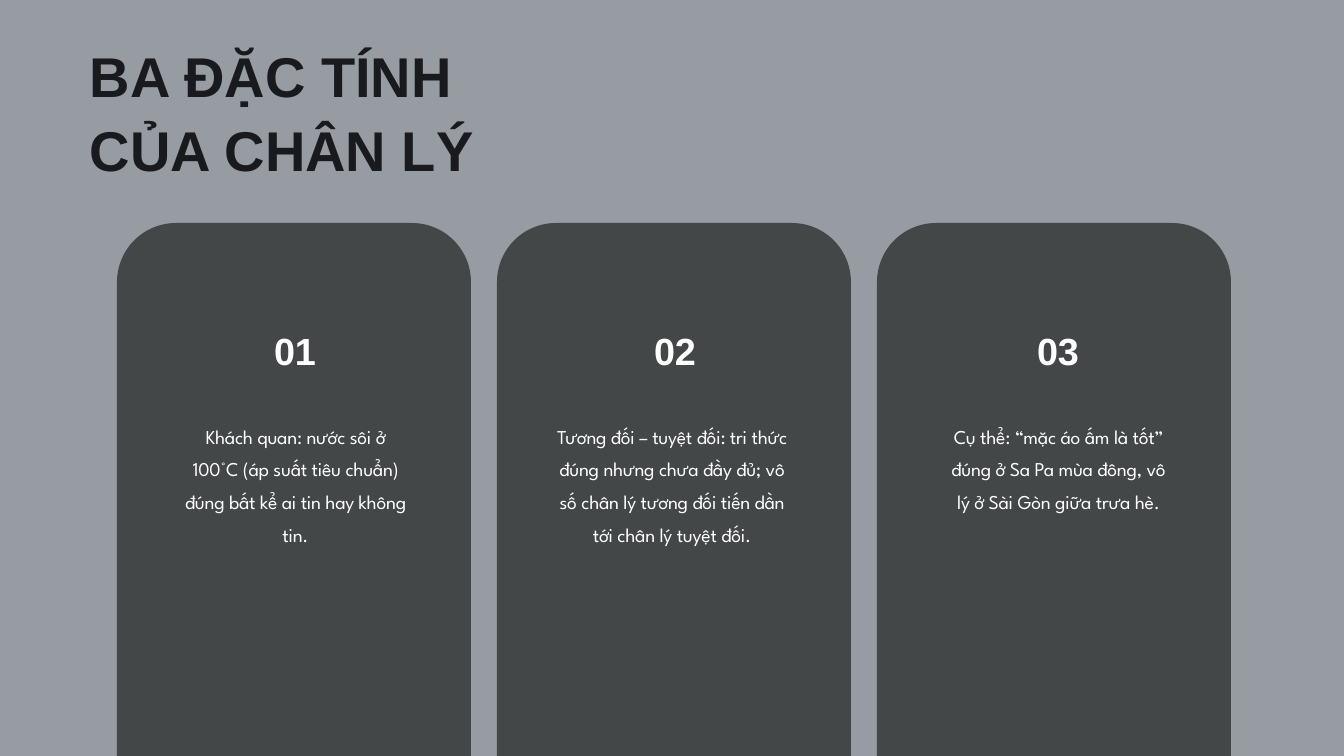
import pptx
import pptx.dml.color
import pptx.enum.shapes
import pptx.enum.text
import pptx.util

ANCHOR = pptx.enum.text.MSO_ANCHOR
ALIGN = pptx.enum.text.PP_ALIGN

TITLE = ["BA ĐẶC TÍNH", "CỦA CHÂN LÝ"]
TITLE_BOX = (85, 34, 587, 151)

# Number, its left edge, body text, its left edge and width
TRAITS = [
    ("01", 243, "Khách quan: nước sôi ở 100°C (áp suất tiêu chuẩn) "
     "đúng bất kể ai tin hay không tin.", 180, 231),
    ("02", 623, "Tương đối – tuyệt đối: tri thức đúng nhưng chưa đầy đủ; "
     "vô số chân lý tương đối tiến dần tới chân lý tuyệt đối.", 544, 256),
    ("03", 1006, "Cụ thể: “mặc áo ấm là tốt” đúng ở Sa Pa mùa đông, "
     "vô lý ở Sài Gòn giữa trưa hè.", 943, 231),
]

SLIDE_WIDTH, SLIDE_HEIGHT = 1344, 756
CARD_LEFT, CARD_TOP, CARD_WIDTH, CARD_HEIGHT, CARD_GAP = 117, 223, 354, 632, 26
NUMBER_TOP, NUMBER_WIDTH, NUMBER_HEIGHT = 304, 104, 74
BODY_TOP, BODY_HEIGHT = 410, 143
INSET = 5

THEME = {
    "background": "969CA2",
    "card": "434747",
    "title": {"name": "Arial", "size": 80, "bold": True, "color": "181A1E",
              "line_spacing": 1.1, "align": ALIGN.LEFT, "anchor": ANCHOR.BOTTOM},
    "number": {"name": "Arial", "size": 54, "bold": True, "color": "FFFFFF",
               "line_spacing": 1.4, "align": ALIGN.CENTER,
               "anchor": ANCHOR.MIDDLE, "tracking": -30, "inset": INSET},
    "body": {"name": "League Spartan", "size": 28, "bold": False, "color": "FFFFFF",
             "line_spacing": 1.4, "align": ALIGN.CENTER,
             "anchor": ANCHOR.TOP, "tracking": -30, "inset": INSET},
}


def px(length):
    return pptx.util.Emu(round(length * 914400 / 50.4))


def paint(fill, color):
    fill.solid()
    fill.fore_color.rgb = pptx.dml.color.RGBColor.from_string(color)


def add_card(slide, left):
    card = slide.shapes.add_shape(
        pptx.enum.shapes.MSO_SHAPE.ROUNDED_RECTANGLE,
        *map(px, (left, CARD_TOP, CARD_WIDTH, CARD_HEIGHT)))
    card.shadow.inherit = False
    card.line.fill.background()
    paint(card.fill, THEME["card"])


def add_text(slide, lines, box, style):
    frame = slide.shapes.add_textbox(*map(px, box)).text_frame
    frame.word_wrap = True
    frame.vertical_anchor = style["anchor"]
    if "inset" in style:
        for side in ("left", "top", "right", "bottom"):
            setattr(frame, f"margin_{side}", px(style["inset"]))
    for index, line in enumerate(lines):
        paragraph = frame.add_paragraph() if index else frame.paragraphs[0]
        paragraph.alignment = style["align"]
        paragraph.line_spacing = style["line_spacing"]
        run = paragraph.add_run()
        run.text = line
        font_values = {"name": style["name"], "bold": style["bold"],
                       "size": pptx.util.Pt(style["size"])}
        for attribute, value in font_values.items():
            setattr(run.font, attribute, value)
        paint(run.font.fill, style["color"])
        if "tracking" in style:
            run.font._element.set("spc", str(style["tracking"]))


def main():
    presentation = pptx.Presentation()
    presentation.slide_width = px(SLIDE_WIDTH)
    presentation.slide_height = px(SLIDE_HEIGHT)
    slide = presentation.slides.add_slide(presentation.slide_layouts[6])
    paint(slide.background.fill, THEME["background"])

    for index, (number, number_left, body, body_left, body_width) in enumerate(TRAITS):
        add_card(slide, CARD_LEFT + index * (CARD_WIDTH + CARD_GAP))
        add_text(slide, [body], (body_left, BODY_TOP, body_width, BODY_HEIGHT),
                 THEME["body"])
        add_text(slide, [number],
                 (number_left, NUMBER_TOP, NUMBER_WIDTH, NUMBER_HEIGHT),
                 THEME["number"])
    add_text(slide, TITLE, TITLE_BOX, THEME["title"])

    presentation.save("out.pptx")


if __name__ == "__main__":
    main()
